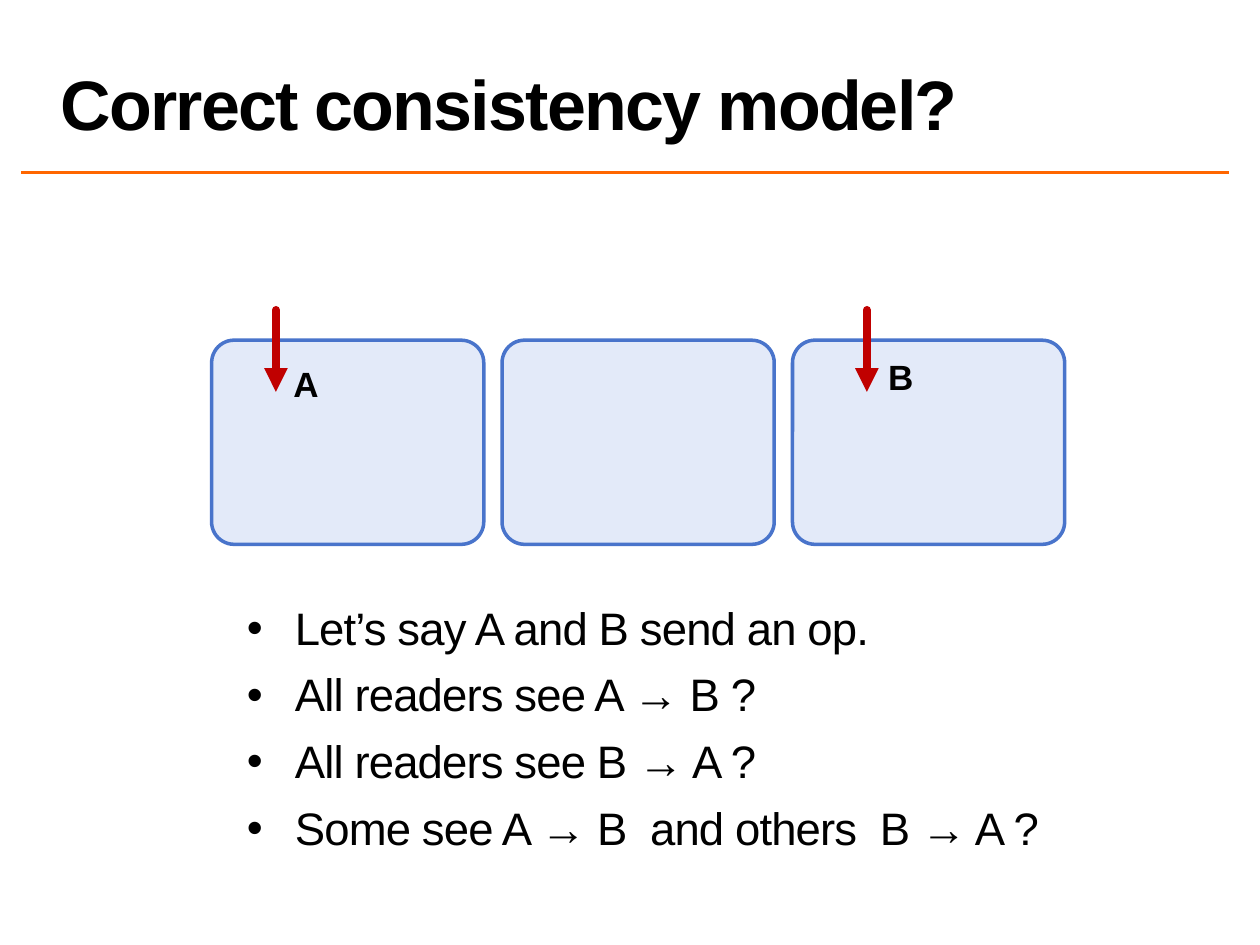
import pptx
import pptx.util
import pptx.dml.color
import pptx.enum.shapes
import pptx.enum.text
import pptx.oxml.xmlchemy

Inches = pptx.util.Inches
Pt = pptx.util.Pt
RGBColor = pptx.dml.color.RGBColor

BLACK = RGBColor(0x00, 0x00, 0x00)
ORANGE = RGBColor(0xFF, 0x66, 0x00)
PALE_BLUE = RGBColor(0xE3, 0xEA, 0xF9)
BLUE = RGBColor(0x49, 0x74, 0xCB)
RED = RGBColor(0xC0, 0x00, 0x00)

FONT = "Arial"
QUESTIONS = [
    "Let’s say A and B send an op.",
    "All readers see A → B ?",
    "All readers see B → A ?",
    "Some see A → B  and others  B → A ?",
]


def add_element(parent, tag, **attributes):
    element = pptx.oxml.xmlchemy.OxmlElement(tag)
    for name, value in attributes.items():
        element.set(name, value)
    parent.append(element)
    return element


def place(shape, left, top, width, height):
    shape.left, shape.top = Inches(left), Inches(top)
    shape.width, shape.height = Inches(width), Inches(height)


def format_font(paragraph, size, bold=False):
    font = paragraph.font
    font.name, font.size, font.bold = FONT, Pt(size), bold
    font.color.rgb = BLACK


def set_tracking(paragraph, points):
    for run in paragraph.runs:
        run._r.get_or_add_rPr().set("spc", str(int(points * 100)))


def add_line(slide, start, end, color, width):
    line = slide.shapes.add_connector(
        pptx.enum.shapes.MSO_CONNECTOR.STRAIGHT,
        Inches(start[0]), Inches(start[1]), Inches(end[0]), Inches(end[1]))
    line.line.color.rgb = color
    line.line.width = Pt(width)
    add_element(line._element.spPr, "a:effectLst")
    return line


def fill_title(slide, left, top, width, height):
    title = slide.shapes.title
    place(title, left, top, width, height)
    frame = title.text_frame
    frame.text = "Correct consistency model?"
    frame.auto_size = pptx.enum.text.MSO_AUTO_SIZE.NONE
    frame.vertical_anchor = pptx.enum.text.MSO_ANCHOR.BOTTOM
    paragraph = frame.paragraphs[0]
    paragraph.alignment = pptx.enum.text.PP_ALIGN.LEFT
    paragraph.line_spacing = 0.8
    format_font(paragraph, 40, bold=True)
    set_tracking(paragraph, -1)


def fill_questions(slide, left, top, width, height):
    body = slide.placeholders[1]
    place(body, left, top, width, height)
    frame = body.text_frame
    frame.text = "\n".join(QUESTIONS)
    frame.auto_size = pptx.enum.text.MSO_AUTO_SIZE.NONE
    frame.margin_left = frame.margin_right = Inches(0.04)
    frame.margin_top = frame.margin_bottom = Inches(0.04)
    indent = Inches(0.38)
    for index, paragraph in enumerate(frame.paragraphs):
        paragraph.line_spacing = 0.9
        paragraph.space_before = Pt(5 if index else 0)
        paragraph.space_after = Pt(5)
        properties = paragraph._p.get_or_add_pPr()
        properties.set("marL", str(indent))
        properties.set("indent", str(-indent))
        add_element(properties, "a:buFont", typeface=FONT)
        add_element(properties, "a:buChar", char="•")
        format_font(paragraph, 26)
        set_tracking(paragraph, -0.5)


def add_replicas(slide, left, top, width, height, count=3, box_width=2.16):
    step = (width - box_width) / (count - 1)
    for index in range(count):
        box = slide.shapes.add_shape(
            pptx.enum.shapes.MSO_SHAPE.ROUNDED_RECTANGLE,
            Inches(left + index * step), Inches(top),
            Inches(box_width), Inches(height))
        box.adjustments[0] = 0.11
        box.shadow.inherit = False
        box.fill.solid()
        box.fill.fore_color.rgb = PALE_BLUE
        box.line.color.rgb = BLUE
        box.line.width = Pt(2)


def add_operation(slide, name, arrow_left, label_left, label_top):
    # Arrow entering the replica
    arrow = add_line(slide, (arrow_left, 2.46), (arrow_left, 3.11), RED, 4.5)
    outline = arrow.line._get_or_add_ln()
    outline.set("cap", "rnd")
    add_element(outline, "a:tailEnd", type="triangle")

    # Name of the operation
    label = slide.shapes.add_textbox(
        Inches(label_left), Inches(label_top), Inches(0.44), Inches(0.44))
    frame = label.text_frame
    frame.word_wrap = False
    frame.auto_size = pptx.enum.text.MSO_AUTO_SIZE.SHAPE_TO_FIT_TEXT
    frame.text = name
    paragraph = frame.paragraphs[0]
    paragraph.alignment = pptx.enum.text.PP_ALIGN.CENTER
    format_font(paragraph, 20, bold=True)


def main():
    presentation = pptx.Presentation()
    presentation.slide_width = Inches(10)
    presentation.slide_height = Inches(7.5)
    slide = presentation.slides.add_slide(presentation.slide_layouts[1])

    # Heading and rule
    fill_title(slide, 0.38, 0.02, 9.37, 1.17)
    add_line(slide, (0.17, 1.37), (9.75, 1.37), ORANGE, 2)

    # Replicas and the operations sent to them
    add_replicas(slide, 1.68, 2.7, 6.77, 1.62)
    add_operation(slide, "B", 6.88, 6.93, 2.77)
    add_operation(slide, "A", 2.19, 2.21, 2.83)

    # Questions
    fill_questions(slide, 1.92, 4.77, 6.53, 2.48)

    presentation.save("out.pptx")


if __name__ == "__main__":
    main()
